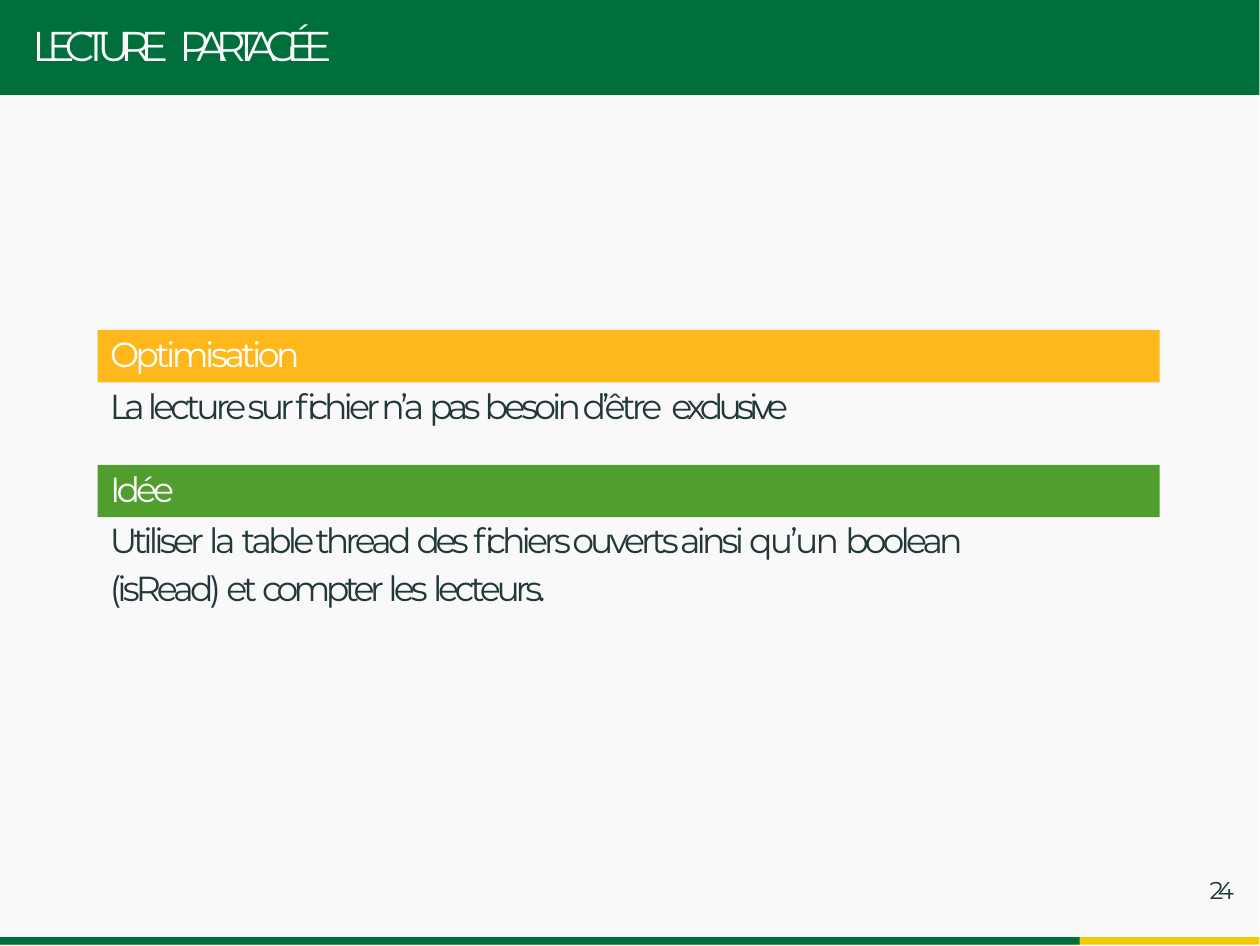
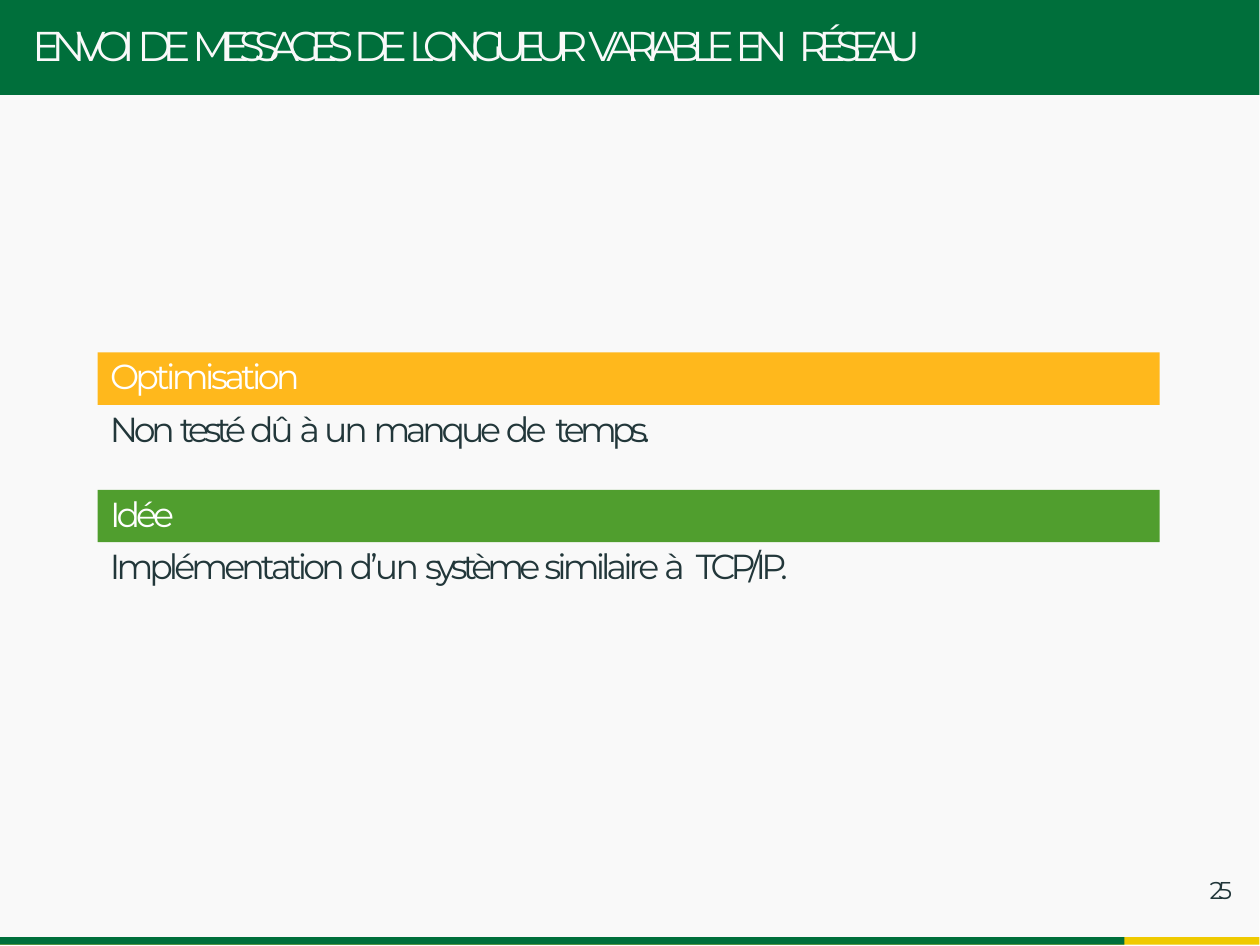
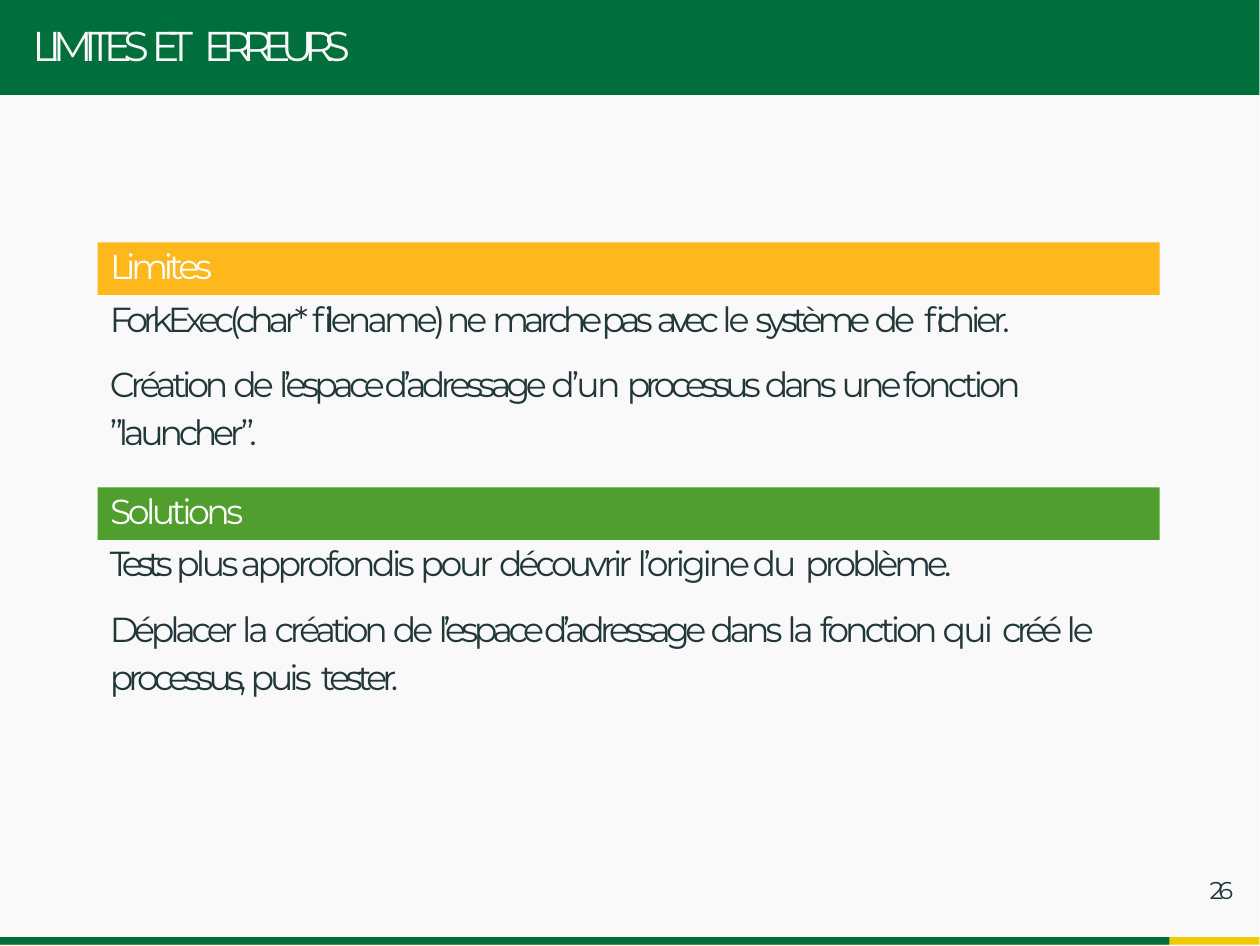
from dataclasses import dataclass

from pptx import Presentation
from pptx.dml.color import RGBColor
from pptx.enum.shapes import MSO_SHAPE
from pptx.enum.text import MSO_ANCHOR, MSO_AUTO_SIZE, PP_ALIGN
from pptx.util import Inches, Pt

RECTANGLE = MSO_SHAPE.RECTANGLE
TOP = MSO_ANCHOR.TOP
NO_AUTOFIT = MSO_AUTO_SIZE.NONE
LEFT = PP_ALIGN.LEFT

COLORS = {
    "paper": "F9F9F9",
    "header": "006F3B",
    "progress_track": "EFCA00",
    "amber": "FFB81C",
    "green": "509E2E",
    "white": "FFFFFF",
    "ink": "22373A",
}
FONT = "Montserrat"
PAGE_WIDTH, PAGE_HEIGHT = Pt(363), Pt(272.5)
CANVAS_WIDTH, CANVAS_HEIGHT = 5.04, 3.78
HEADER_HEIGHT = 0.38
PROGRESS_HEIGHT = 0.03
TOTAL_PAGES = 28
HEADING_LEFT, HEADING_WIDTH, HEADING_HEIGHT = 0.39, 4.25, 0.21
BODY_LEFT = 0.43
LEADING = 1.15


@dataclass
class Paragraph:
    runs: list
    leading: float = 1.0
    before: float = 0


def color(name):
    return RGBColor.from_string(COLORS[name])


def write_text(frame, paragraphs, size=10, ink="ink", indent=0.01, inset_top=0.01):
    frame.word_wrap = True
    frame.auto_size = NO_AUTOFIT
    frame.vertical_anchor = TOP
    frame.margin_left, frame.margin_top = Inches(indent), Inches(inset_top)
    frame.margin_right = frame.margin_bottom = 0
    for index, content in enumerate(paragraphs):
        paragraph = frame.add_paragraph() if index else frame.paragraphs[0]
        paragraph.alignment = LEFT
        paragraph.line_spacing = content.leading
        paragraph.space_before = Pt(content.before)
        for words, tracking in content.runs:
            run = paragraph.add_run()
            run.text = words
            run.font.name = FONT
            run.font.size = Pt(size)
            run.font.bold = False
            run.font.color.rgb = color(ink)
            run._r.get_or_add_rPr().set("spc", str(round(tracking * 100)))


class Deck:
    def __init__(self):
        self.presentation = Presentation()
        self.presentation.slide_width = PAGE_WIDTH
        self.presentation.slide_height = PAGE_HEIGHT
        background = self.presentation.slide_master.background.fill
        background.solid()
        background.fore_color.rgb = color("white")
        self.title_only = self.presentation.slide_layouts.get_by_name("Title Only")
        self.slide = None

    def band(self, left, top, width, height, fill):
        band = self.slide.shapes.add_shape(
            RECTANGLE, Inches(left), Inches(top), Inches(width), Inches(height))
        band.shadow.inherit = False
        band.fill.solid()
        band.fill.fore_color.rgb = color(fill)
        band.line.fill.background()
        return band

    def text(self, left, top, width, height, paragraphs, **style):
        box = self.slide.shapes.add_textbox(
            Inches(left), Inches(top), Inches(width), Inches(height))
        write_text(box.text_frame, paragraphs, **style)

    def new_slide(self, page, title_runs, title_width):
        self.slide = self.presentation.slides.add_slide(self.title_only)
        title = self.slide.shapes.title
        panel = self.band(0, HEADER_HEIGHT, CANVAS_WIDTH,
                          CANVAS_HEIGHT - HEADER_HEIGHT, "paper")
        header = self.band(0, 0, CANVAS_WIDTH, HEADER_HEIGHT, "header")
        for backdrop in (panel, header):
            title._element.addprevious(backdrop._element)
        title.left, title.top = Inches(0.12), Inches(0.07)
        title.width, title.height = Inches(title_width), Inches(0.23)
        write_text(title.text_frame, [Paragraph(title_runs)], size=12, ink="paper")
        self.footer(page)

    def footer(self, page):
        top = CANVAS_HEIGHT - PROGRESS_HEIGHT
        done = CANVAS_WIDTH * page / TOTAL_PAGES
        self.band(0, top, CANVAS_WIDTH, PROGRESS_HEIGHT, "progress_track")
        self.band(0, top, done, PROGRESS_HEIGHT, "header")
        self.text(4.8, 3.48, 0.18, 0.17, [Paragraph([(str(page), -1.4)])],
                  size=7, indent=0.04, inset_top=0.02)

    def section(self, top, fill, heading, tracking, paragraphs, width,
                height=0.19, drop=0.21):
        heading_band = self.band(HEADING_LEFT, top, HEADING_WIDTH, HEADING_HEIGHT, fill)
        write_text(heading_band.text_frame, [Paragraph([(heading, tracking)])],
                   ink="white", indent=0.05)
        self.text(BODY_LEFT, top + drop, width, height, paragraphs)


deck = Deck()

deck.new_slide(24, [("LECTURE", -2.9), (" ", 0), ("PARTAGÉE", -3.1)], 1.35)
deck.section(1.32, "amber", "Optimisation", -1, [Paragraph([
    ("La ", -1.7), ("lecture sur fichier n’a ", -1.1), ("pas ", -1.4),
    ("besoin d’être", -1.1), (" ", 0), ("exclusive", -1.4)])], 3.21)
deck.section(1.86, "green", "Idée", -1.1, [Paragraph([
    ("Utiliser ", -1.1), ("la ", -0.9), ("table thread ", -1.1), ("des ", -1.3),
    ("fichiers ouverts ainsi ", -1.1), ("qu’un ", -0.8),
    ("boolean (isRead) ", -1.1), ("et ", -1.2), ("compter ", -1.3),
    ("les ", -1.1), ("lecteurs.", -1.2)], LEADING)], 3.7, 0.41, 0.18)

deck.new_slide(25, [
    ("ENVOI ", -2.5), ("DE ", -2.6), ("MESSAGES ", -3), ("DE ", -2.6),
    ("LONGUEUR ", -2.9), ("VARIABLE ", -2.8), ("EN", -2.7), (" ", 0),
    ("RÉSEAU", -3)], 3.9)
deck.section(1.41, "amber", "Optimisation", -1, [Paragraph([
    ("Non ", -1.2), ("testé ", -1.4), ("dû ", -0.9), ("à ", -1.4), ("un ", -0.9),
    ("manque ", -1.2), ("de", -1.1), (" ", 0), ("temps.", -1.4)])], 2.32)
deck.section(1.96, "green", "Idée", -1.1, [Paragraph([
    ("Implémentation ", -1.1), ("d’un ", -0.8), ("système ", -1.4),
    ("similaire ", -1.1), ("à", -1.4), (" ", 0.6), ("TCP/IP.", -1.4)])], 2.99)

deck.new_slide(26, [("LIMITES ", -2.4), ("ET", -3), (" ", 0), ("ERREURS", -2.8)], 1.42)
deck.section(0.97, "amber", "Limites", -1.2, [
    Paragraph([
        ("ForkExec(char* ", -1.4), ("filename) ne ", -1.1), ("marche pas ", -1.4),
        ("avec ", -1.6), ("le ", -0.9), ("système ", -1.4), ("de", -1.1),
        (" ", 0), ("fichier.", -1.2)]),
    Paragraph([
        ("Création ", -1.2), ("de ", -1.1), ("l’espace d’adressage ", -1.3),
        ("d’un ", -0.8), ("processus ", -1.4), ("dans ", -1.2),
        ("une fonction ", -1.1), ("”launcher”.", -1.2)], LEADING, 5),
], 4.15, 0.63)
deck.section(1.95, "green", "Solutions", -1, [
    Paragraph([
        ("Tests ", -1.7), ("plus approfondis ", -1), ("pour ", -0.9),
        ("découvrir ", -1.1), ("l’origine du", -0.9), (" ", 0),
        ("problème.", -1.1)]),
    Paragraph([
        ("Déplacer ", -1.2), ("la ", -0.9), ("création ", -1.2), ("de ", -1.1),
        ("l’espace d’adressage ", -1.3), ("dans ", -1.2), ("la ", -0.9),
        ("fonction ", -1.1), ("qui", -0.8), (" ", 0), ("créé ", -1.4),
        ("le ", -0.9), ("processus, ", -1.4), ("puis", -1.1), (" ", 0),
        ("tester.", -1.4)], LEADING, 5),
], 4.03, 0.63)

deck.presentation.save("out.pptx")
